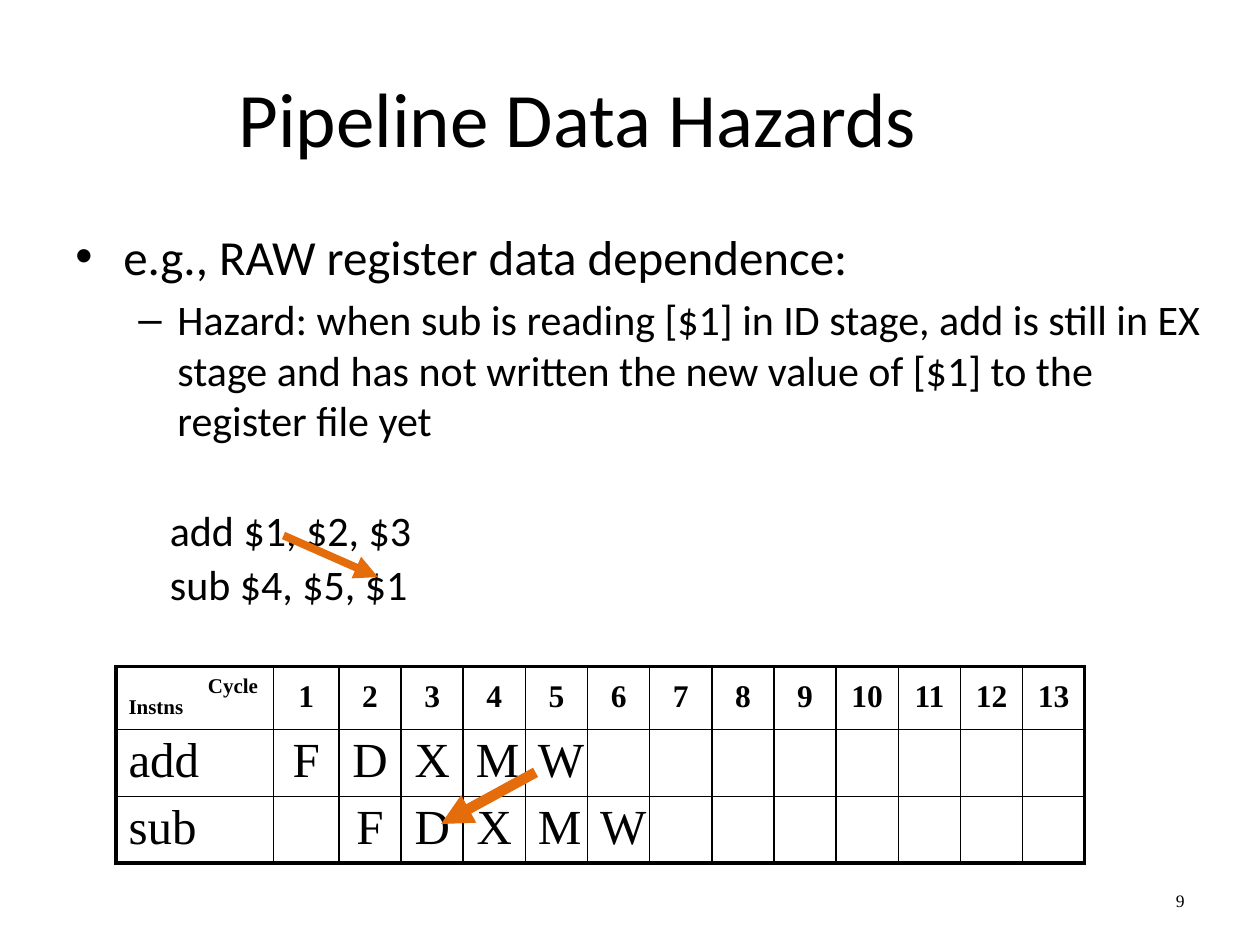
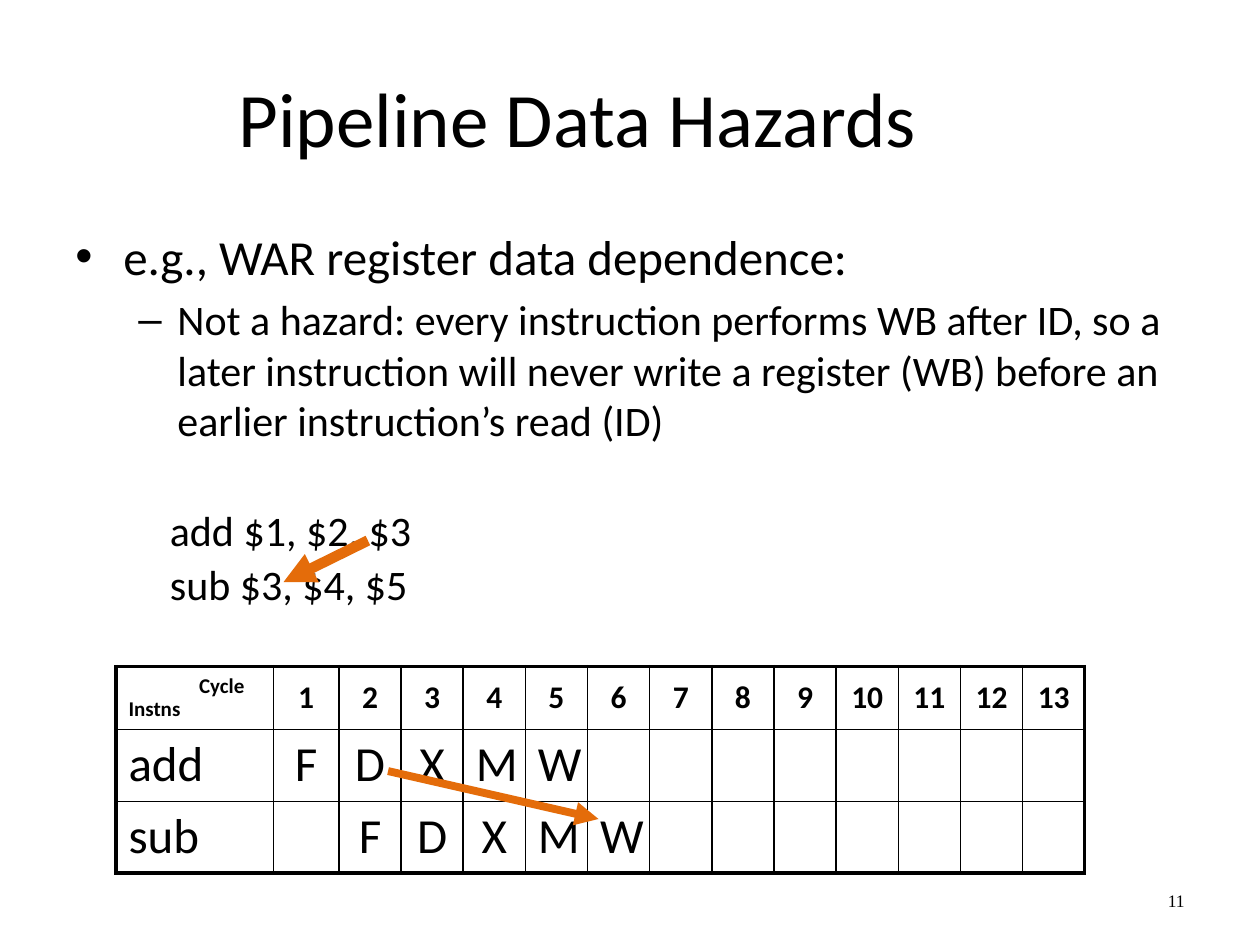
import lxml.etree
import pptx
import pptx.dml.color
import pptx.enum.shapes
import pptx.enum.text
import pptx.oxml.ns
import pptx.util

ALIGN = pptx.enum.text.PP_ALIGN
ANCHOR = pptx.enum.text.MSO_ANCHOR
COLUMNS, ROWS = 40, 30
UNIT = pptx.util.Inches(0.25)
INK, ARROW = "000000", "E46C0A"
SANS, SERIF = "Calibri", "Times New Roman"
THICK, THIN = 2.25, 1
CYCLES = 13
STAGES = "FDXMW"
INSTRUCTIONS = ("add", "sub")

HAZARDS = [
    dict(
        number="9",
        heading="e.g., RAW register data dependence:",
        detail="Hazard: when sub is reading [$1] in ID stage, add is still in EX "
               "stage and has not written the new value of [$1] to the register file yet",
        code=("add $1, $2, $3", "sub $4, $5, $1"),
        table_font=SERIF, cycle_indent=0.63, stage_height=0.53,
        arrows=[((9, 17), (12, 18.32), 4.5), ((17, 24.52), (14, 26.16), 6)],
    ),
    dict(
        number="11",
        heading="e.g., WAR register data dependence:",
        detail="Not a hazard: every instruction performs WB after ID, so a later "
               "instruction will never write a register (WB) before an earlier "
               "instruction’s read (ID)",
        code=("add $1, $2, $3", "sub $3, $4, $5"),
        table_font=SANS, cycle_indent=0.56, stage_height=0.57,
        arrows=[((12.32, 24.48), (19, 26), 4.5), ((11.68, 17.16), (9, 18.48), 6)],
    ),
]


def color(value):
    return pptx.dml.color.RGBColor.from_string(value)


def grid(*cells):
    """Turn grid columns or rows into slide lengths."""
    return [round(cell * UNIT) for cell in cells]


def sub_element(parent, tag, **attributes):
    return lxml.etree.SubElement(parent, pptx.oxml.ns.qn(tag), attributes)


def style(paragraph, text, size, font=SANS, bold=False, align=ALIGN.LEFT,
          indent=0, hanging=0, bullet=None, before=0, spacing=None):
    """Write one paragraph; indent and hanging are inches, before is points."""
    paragraph.text = text
    paragraph.alignment = align
    paragraph.space_before = pptx.util.Pt(before)
    if spacing:
        paragraph.line_spacing = spacing
    properties = paragraph._p.get_or_add_pPr()
    properties.set("marL", str(pptx.util.Inches(indent)))
    properties.set("indent", str(-pptx.util.Inches(hanging)))
    if bullet:
        sub_element(properties, "a:buFont", typeface="Arial")
        sub_element(properties, "a:buChar", char=bullet)
    paragraph.font.size = pptx.util.Pt(size)
    paragraph.font.name = font
    paragraph.font.bold = bold
    paragraph.font.color.rgb = color(INK)


def add_text(slide, area, paragraphs, anchor=ANCHOR.TOP):
    frame = slide.shapes.add_textbox(*grid(*area)).text_frame
    frame.word_wrap = True
    frame.vertical_anchor = anchor
    for index, options in enumerate(paragraphs):
        paragraph = frame.add_paragraph() if index else frame.paragraphs[0]
        style(paragraph, **options)


def add_arrow(slide, start, end, width):
    arrow = slide.shapes.add_connector(
        pptx.enum.shapes.MSO_CONNECTOR.STRAIGHT, *grid(*start, *end))
    arrow.line.color.rgb = color(ARROW)
    arrow.line.width = pptx.util.Pt(width)
    sub_element(arrow.line._get_or_add_ln(), "a:tailEnd", type="triangle")
    sub_element(arrow._element.spPr, "a:effectLst")


def draw_borders(cell, outer):
    """Border a cell; outer names the sides on the table's edge."""
    properties = cell._tc.get_or_add_tcPr()
    for side in "LRTB":
        width = pptx.util.Pt(THICK if side in outer else THIN)
        line = sub_element(properties, "a:ln" + side, w=str(width))
        fill = sub_element(line, "a:solidFill")
        sub_element(fill, "a:srgbClr", val=INK)
    cell.fill.background()


def outer_sides(row, column):
    edges = {"L": column == 0, "R": column == CYCLES,
             "T": row == 0, "B": row == len(INSTRUCTIONS)}
    return [side for side, on_edge in edges.items() if on_edge]


def add_pipeline(slide, font, cycle_indent, stage_height):
    """Draw the cycle table; each instruction starts one cycle after the last."""
    heights = [0.5] + [stage_height] * len(INSTRUCTIONS)
    widths = [1.25, 0.52] + [5.92 / (CYCLES - 1)] * (CYCLES - 1)
    table = slide.shapes.add_table(
        len(heights), len(widths), *grid(3.68, 21.16),
        pptx.util.Inches(sum(widths)), pptx.util.Inches(sum(heights))).table
    table.first_row = table.horz_banding = False
    for row, height in zip(table.rows, heights):
        row.height = pptx.util.Inches(height)
    for column, width in zip(table.columns, widths):
        column.width = pptx.util.Inches(width)

    for row in range(len(heights)):
        for column in range(len(widths)):
            cell = table.cell(row, column)
            cell.vertical_anchor = ANCHOR.MIDDLE
            draw_borders(cell, outer_sides(row, column))

    def write(row, column, text, size, align=ALIGN.CENTER, bold=False):
        style(table.cell(row, column).text_frame.paragraphs[0], text, size,
              font, bold, align, spacing=0.9)

    corner = table.cell(0, 0).text_frame
    style(corner.paragraphs[0], "Cycle", 12, font, True,
          indent=cycle_indent, spacing=0.9)
    style(corner.add_paragraph(), "Instns", 12, font, True, spacing=0.9)
    for cycle in range(1, CYCLES + 1):
        write(0, cycle, str(cycle), 18, bold=True)
    for row, instruction in enumerate(INSTRUCTIONS, 1):
        write(row, 0, instruction, 28, ALIGN.LEFT)
        for cycle, stage in enumerate(STAGES, row):
            write(row, cycle, stage, 28)


def add_hazard_slide(deck, hazard):
    slide = deck.slides.add_slide(deck.slide_layouts[6])
    add_text(slide, (2, 7, 37, 8.5), [
        dict(text=hazard["heading"], size=28, indent=0.38, hanging=0.38, bullet="•"),
        dict(text=hazard["detail"], size=24, indent=0.81, hanging=0.31, bullet="–",
             before=4.8),
    ])
    add_text(slide, (2, 1.2, 32.68, 5),
             [dict(text="Pipeline Data Hazards", size=44, align=ALIGN.CENTER)],
             ANCHOR.MIDDLE)
    add_text(slide, (3, 16, 34, 4.5), [
        dict(text=line, size=24, indent=0.5, spacing=0.9, before=4.8 if index else 0)
        for index, line in enumerate(hazard["code"])])
    add_text(slide, (33.32, 27.8, 4.68, 1.6),
             [dict(text=hazard["number"], size=10, font=SERIF, align=ALIGN.RIGHT)],
             ANCHOR.MIDDLE)
    add_pipeline(slide, hazard["table_font"], hazard["cycle_indent"],
                 hazard["stage_height"])
    for start, end, width in hazard["arrows"]:
        add_arrow(slide, start, end, width)


def main():
    deck = pptx.Presentation()
    deck.slide_width, deck.slide_height = grid(COLUMNS, ROWS)
    for hazard in HAZARDS:
        add_hazard_slide(deck, hazard)
    deck.save("out.pptx")


if __name__ == "__main__":
    main()
